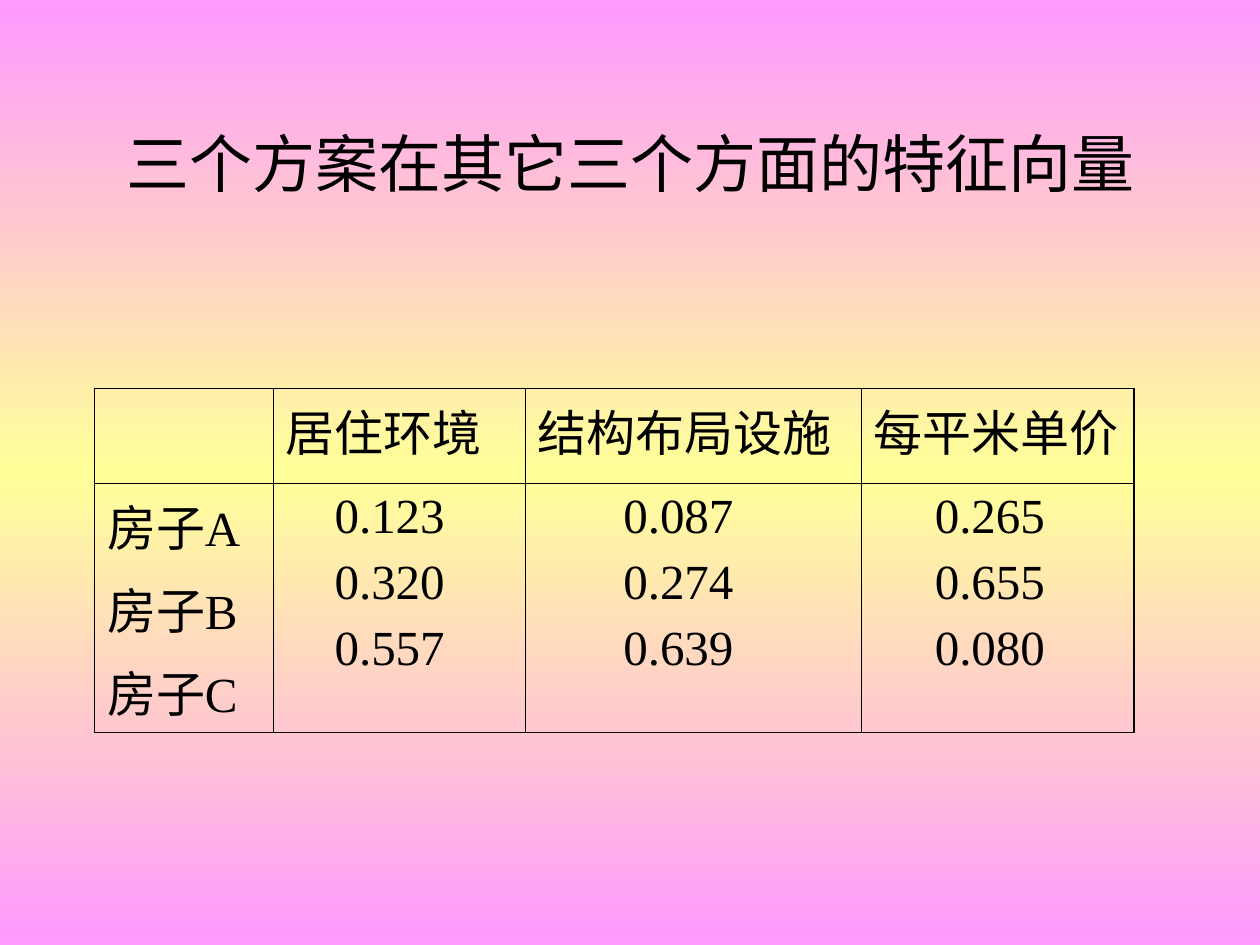
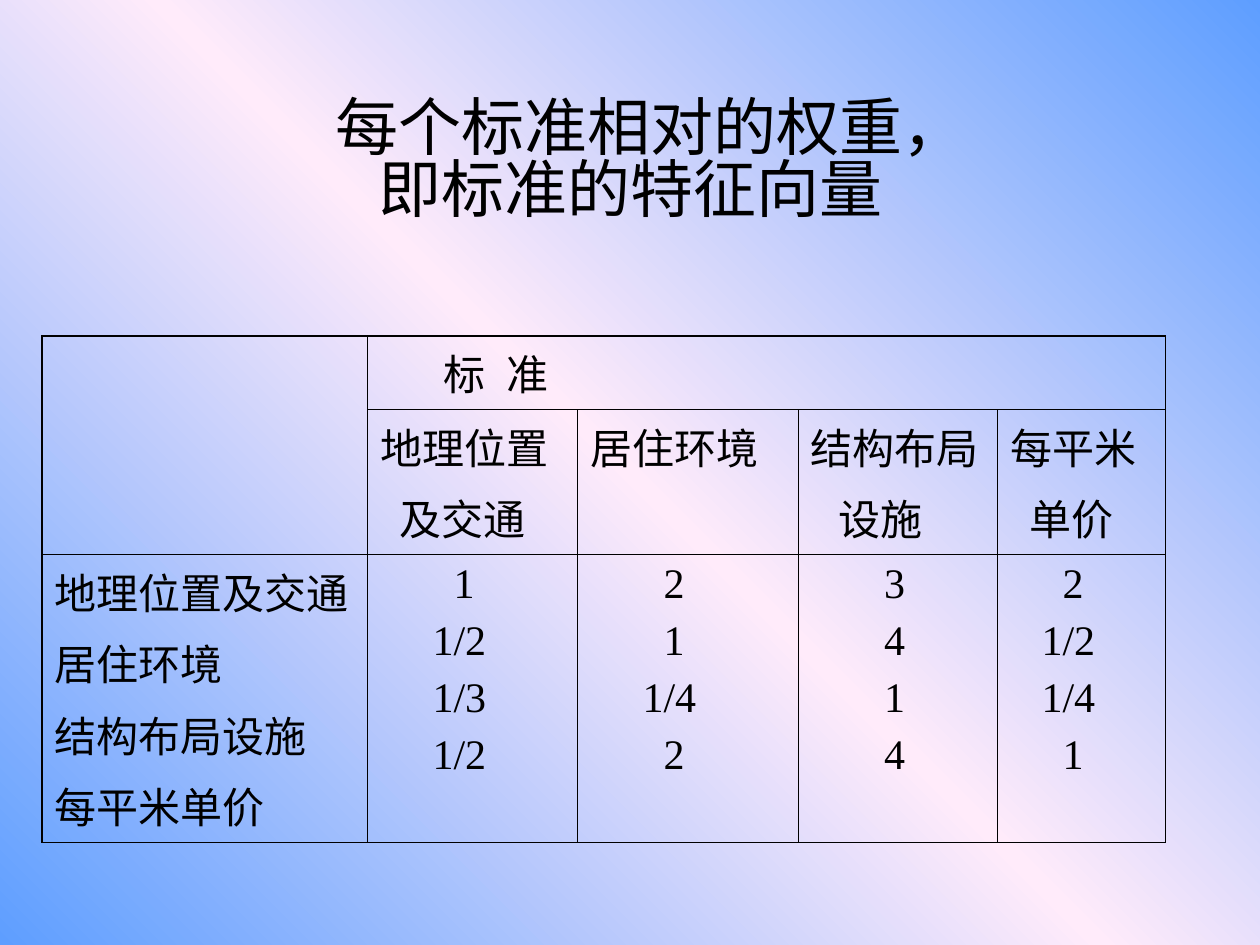
"""Build two slides that tabulate house choices and the weights of their criteria."""
from pptx import Presentation
from pptx import util as u
from pptx.dml.color import RGBColor
from pptx.enum import text
from pptx.oxml import ns
from copy import deepcopy
from lxml import etree

FONT = "Times New Roman"
BLACK = RGBColor(0x00, 0x00, 0x00)
PINK = RGBColor(0xFF, 0x99, 0xFF)
YELLOW = RGBColor(0xFF, 0xFF, 0x99)
BLUE = RGBColor(0x5E, 0x9E, 0xFF)
BLUSH = RGBColor(0xFF, 0xEB, 0xFA)
COLUMNS, ROWS = 120, 90
OUTER, INNER = 1.08, 0.45
TITLE_AREA = (9, 8, 102, 15)


def write(frame, lines, size, align=None, before=0, spacing=None):
    """Write lines, each a string or a (text, indent, tab stops) tuple."""
    for number, line in enumerate(lines):
        words, indent, stops = ((line,) if isinstance(line, str) else line) + (0, ())[-2:] \
            if isinstance(line, str) else line
        para = frame.paragraphs[0] if number == 0 else frame.add_paragraph()
        para.alignment = align
        para.line_spacing = spacing
        para.space_before = u.Pt(before if number else 0)
        properties = para._p.get_or_add_pPr()
        properties.set("marL", str(u.Pt(indent)))
        properties.set("indent", "0")
        if stops:
            tabs = etree.SubElement(properties, ns.qn("a:tabLst"))
            for stop in stops:
                etree.SubElement(tabs, ns.qn("a:tab"), pos=str(u.Pt(stop)), algn="l")
        span = para.add_run()
        span.text = words
        span.font.name, span.font.size = FONT, u.Pt(size)
        span.font.color.rgb = BLACK


def indented(indent, *values):
    """Give every value the same indent."""
    return [(value, indent, ()) for value in values]


def ratios(indent, *values):
    """Indent whole numbers, and set fractions 12 points further left."""
    return [(value, indent - 12 * ("/" in value), ()) for value in values]


class Deck:
    """Hold the shared style and the current slide."""

    def __init__(self):
        """Start an empty deck."""
        self.deck = Presentation()
        self.deck.slide_width, self.deck.slide_height = u.Inches(10), u.Inches(7.5)
        self.page = None

    def across(self, columns):
        """Turn grid columns into a length."""
        return int(self.deck.slide_width * columns / COLUMNS)

    def down(self, rows):
        """Turn grid rows into a length."""
        return int(self.deck.slide_height * rows / ROWS)

    def new_page(self, edge, middle, angle):
        """Add a page with a mirrored gradient, its angle measured clockwise."""
        self.page = self.deck.slides.add_slide(self.deck.slide_layouts[5])
        fill = self.page.background.fill
        fill.gradient()
        stops = self.page.element.find(".//" + ns.qn("a:gsLst"))
        stops.append(deepcopy(stops[0]))
        for stop, color, place in zip(fill.gradient_stops, (edge, middle, edge), (0, 0.5, 1)):
            stop.color.rgb = color
            stop.position = place
        fill.gradient_angle = 360 - angle

    def title(self, *lines):
        """Fill the title placeholder, closing up the lines when there are several."""
        box = self.page.shapes.title
        left, top, width, height = TITLE_AREA
        box.left, box.top = self.across(left), self.down(top)
        box.width, box.height = self.across(width), self.down(height)
        frame = box.text_frame
        frame.auto_size = text.MSO_AUTO_SIZE.NONE
        frame.vertical_anchor = text.MSO_ANCHOR.MIDDLE
        write(frame, lines, 36, align=text.PP_ALIGN.CENTER,
              spacing=0.82 if len(lines) > 1 else None)

    def borders(self, cell, weights):
        """Draw the left, right, top and bottom borders of a cell."""
        properties = cell._tc.get_or_add_tcPr()
        for side, weight in zip("LRTB", weights):
            line = etree.SubElement(properties, ns.qn("a:ln" + side), w=str(u.Pt(weight)))
            fill = etree.SubElement(line, ns.qn("a:solidFill"))
            etree.SubElement(fill, ns.qn("a:srgbClr"), val=str(BLACK))

    def table(self, left, top, widths, heights, content, size, merges=()):
        """Add an unfilled table with a heavier outer frame."""
        table = self.page.shapes.add_table(
            len(heights), len(widths), self.across(left), self.down(top),
            self.across(sum(widths)), self.down(sum(heights))).table
        table.first_row = table.horz_banding = False
        for column, width in zip(table.columns, widths):
            column.width = self.across(width)
        for row, height in zip(table.rows, heights):
            row.height = self.down(height)
        for start, end in merges:
            table.cell(*start).merge(table.cell(*end))
        last_row, last_column = len(heights) - 1, len(widths) - 1
        for r, row in enumerate(content):
            for c, lines in enumerate(row):
                cell = table.cell(r, c)
                write(cell.text_frame, lines, size, before=size / 4)
                edges = (c == 0, c == last_column, r == 0, r == last_row)
                self.borders(cell, [OUTER if edge else INNER for edge in edges])
                cell.fill.background()


def main():
    """Build both pages and save the deck."""
    show = Deck()

    show.new_page(PINK, YELLOW, 90)
    show.title("三个方案在其它三个方面的特征向量")
    vectors = [
        [[], ["居住环境"], ["结构布局设施"], ["每平米单价"]],
        [["房子A", "房子B", "房子C"],
         indented(28, "0.123", "0.320", "0.557"),
         indented(49, "0.087", "0.274", "0.639"),
         indented(35, "0.265", "0.655", "0.080")],
    ]
    show.table(9, 37, (17, 24, 32, 26), (9, 21), vectors, 28)

    show.new_page(BLUE, BLUSH, 135)
    show.title(("每个标准相对的权重，", 24, ()), "即标准的特征向量")
    weights = [
        [[], [("\t标\t准", 0, (139, 238))], [], [], []],
        [[], ["地理位置", ("及交通", 11, ())], ["居住环境"],
         ["结构布局", ("设施", 16, ())], ["每平米", ("单价", 11, ())]],
        [["地理位置及交通", "居住环境", "结构布局设施", "每平米单价"],
         ratios(42, "1", "1/2", "1/3", "1/2"),
         ratios(42, "2", "1", "1/4", "2"),
         ratios(42, "3", "4", "1", "4"),
         ratios(30, "2", "1/2", "1/4", "1")],
    ]
    show.table(4, 32, (31, 20, 21, 19, 16), (6, 12, 24), weights, 24,
               merges=[((0, 0), (1, 0)), ((0, 1), (0, 4))])

    show.deck.save("out.pptx")


if __name__ == "__main__":
    main()
